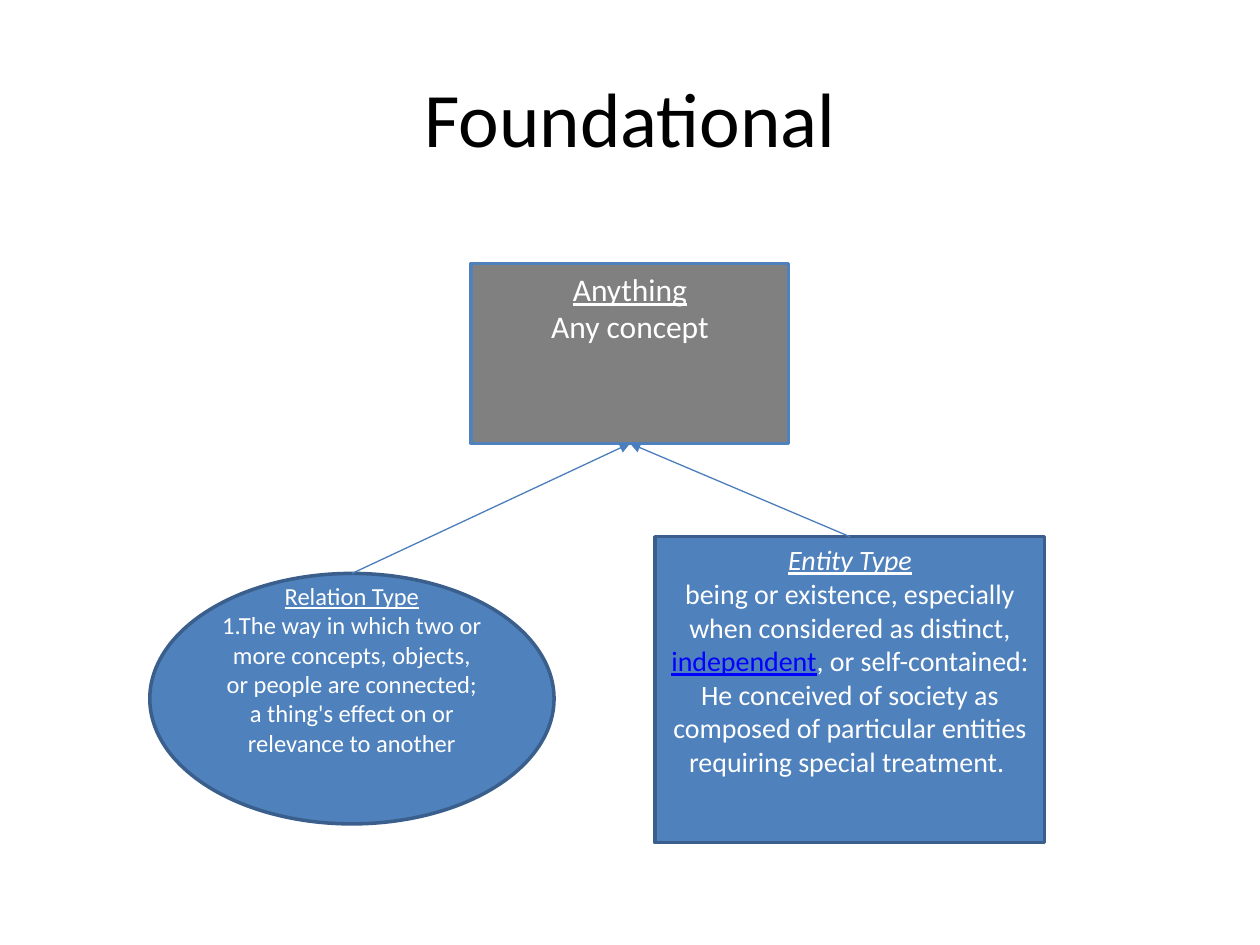
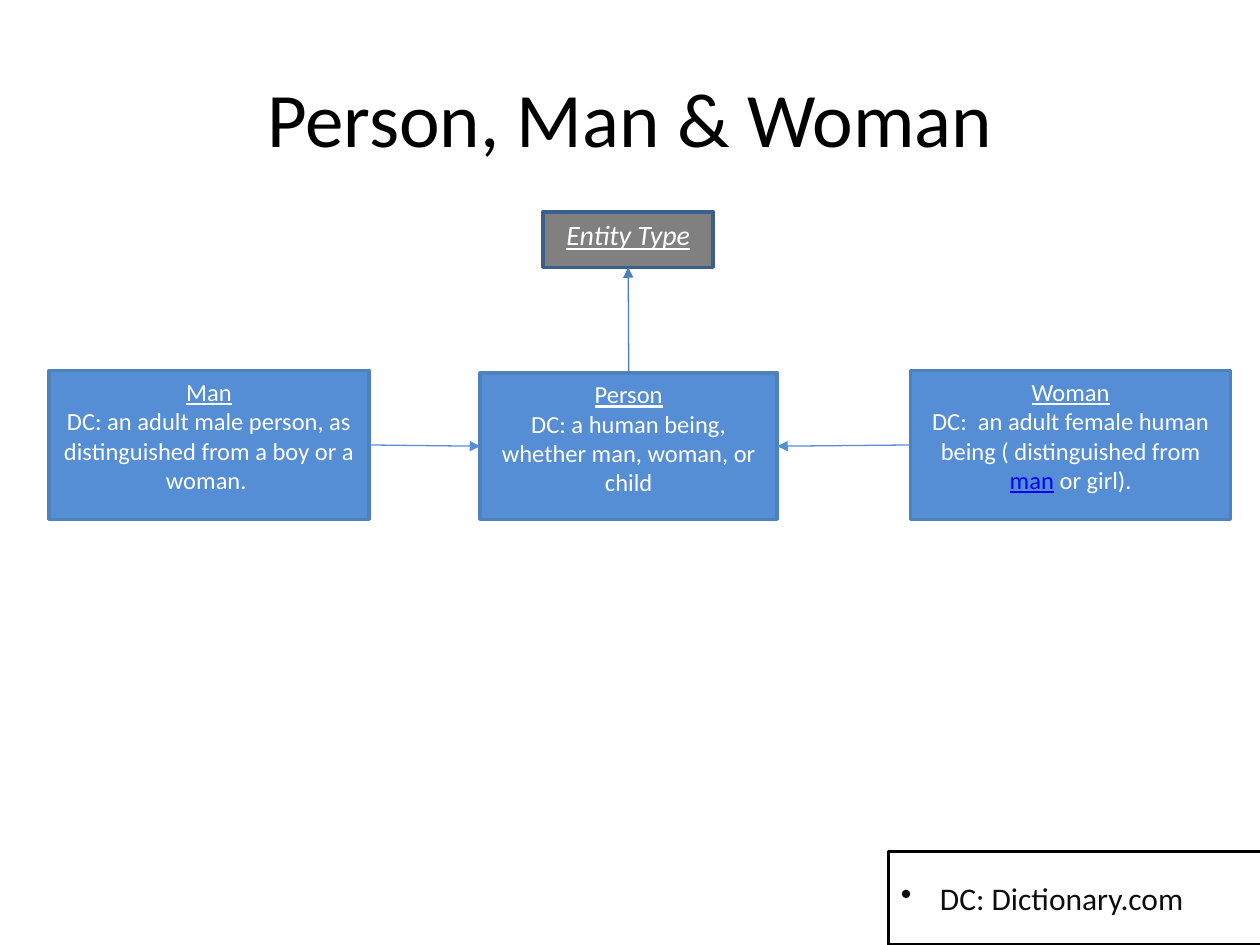
import pptx
import pptx.util
import pptx.dml.color
import pptx.enum.shapes
import pptx.enum.text
import pptx.oxml.ns
import pptx.oxml.xmlchemy

Cm = pptx.util.Cm
Pt = pptx.util.Pt
RGB = pptx.dml.color.RGBColor
Shape = pptx.enum.shapes.MSO_SHAPE
Align = pptx.enum.text.PP_ALIGN
Anchor = pptx.enum.text.MSO_ANCHOR
qn = pptx.oxml.ns.qn
Element = pptx.oxml.xmlchemy.OxmlElement

# Shared look
FONT = "Calibri"
BLACK = RGB(0x00, 0x00, 0x00)
INK = RGB(0x0D, 0x0D, 0x0D)
WHITE = RGB(0xFF, 0xFF, 0xFF)
GREY = RGB(0x80, 0x80, 0x80)
BLUE = RGB(0x4F, 0x81, 0xBD)
SKY = RGB(0x55, 0x8E, 0xD5)
NAVY = RGB(0x3A, 0x5F, 0x8C)
STEEL = RGB(0x4B, 0x7E, 0xBC)
LINK = RGB(0x00, 0x00, 0xFF)


def write(frame, paras, size=14, color=WHITE, align=Align.CENTER,
          anchor=Anchor.TOP, bullet=None):
    """Each paragraph is a list of (text, marks): u underline, i italic, l link."""
    frame.word_wrap = True
    frame.vertical_anchor = anchor
    for n, runs in enumerate(paras):
        para = frame.paragraphs[0] if n == 0 else frame.add_paragraph()
        para.alignment = align
        if bullet:
            props = para._p.get_or_add_pPr()
            props.set("marL", str(int(Cm(0.79))))
            props.set("indent", str(-int(Cm(0.79))))
            mark = Element("a:buChar")
            mark.set("char", bullet)
            props.append(mark)
        for text, marks in runs:
            run = para.add_run()
            run.text = text
            font = run.font
            font.name, font.size = FONT, Pt(size)
            font.underline = "u" in marks
            font.italic = "i" in marks
            font.color.rgb = LINK if "l" in marks else color


def node(slide, box, paras, fill, edge, kind=Shape.RECTANGLE, **style):
    shape = slide.shapes.add_shape(kind, *[Cm(v) for v in box])
    shape.shadow.inherit = False
    shape.fill.solid()
    shape.fill.fore_color.rgb = fill
    shape.line.color.rgb = edge
    shape.line.width = Pt(2)
    write(shape.text_frame, paras, **style)
    return shape


deck = pptx.Presentation()
deck.slide_width, deck.slide_height = Cm(25.4), Cm(19.05)

# Slides with their titles
slides = []
for name in ("Foundational", "Person, Man & Woman"):
    slide = deck.slides.add_slide(deck.slide_layouts[5])
    title = slide.shapes.title
    title.left, title.top = Cm(1.27), Cm(0.76)
    title.width, title.height = Cm(22.86), Cm(3.18)
    write(title.text_frame, [[(name, "")]], size=44, color=BLACK,
          anchor=Anchor.MIDDLE)
    slides.append(slide)
base, people = slides

# Foundational concepts
entity = node(base, (13.21, 10.82, 7.85, 6.17), [
    [("Entity Type", "iu")],
    [("being or existence, especially when considered as distinct, ", ""),
     ("independent", "ul"),
     (", or self-contained: He conceived of society as composed of "
      "particular entities requiring special treatment. ", "")],
], BLUE, NAVY, size=16)
thing = node(base, (9.5, 5.31, 6.4, 3.63), [
    [("Anything", "u")],
    [("Any concept", "")],
], GREY, BLUE, size=18)
relate = node(base, (3.02, 11.56, 8.15, 5.05), [
    [("Relation Type", "u")],
    [("1.The way in which two or more concepts, objects, or people are "
      "connected; a thing's effect on or relevance to another", "")],
], BLUE, NAVY, kind=Shape.OVAL, anchor=Anchor.MIDDLE)
relate.text_frame.margin_bottom = Cm(1.32)

# Person and its kinds
woman = node(people, (18.36, 7.47, 6.45, 3), [
    [("Woman", "u")],
    [("DC:  an adult female human being ( distinguished from ", ""),
     ("man", "ul"), (" or girl).", "")],
], SKY, BLUE)
man = node(people, (0.99, 7.47, 6.45, 3), [
    [("Man", "u")],
    [("DC: an adult male person, as distinguished from a boy or a woman. ", "")],
], SKY, BLUE)
person = node(people, (9.68, 7.52, 5.99, 2.95), [
    [("Person", "u")],
    [("DC: a human being, whether man, woman, or child", "")],
], SKY, BLUE)
parent = node(people, (10.95, 4.27, 3.43, 1.12), [[("Entity Type", "iu")]],
              GREY, NAVY, size=16)

# Source key
node(people, (17.91, 17.17, 7.65, 1.88), [[("DC: Dictionary.com", "")]],
     WHITE, BLACK, size=18, color=INK, align=Align.LEFT,
     anchor=Anchor.MIDDLE, bullet="•")

# Arrows: sides are 0 top, 1 left, 2 bottom, 3 right
for slide, start, out, end, into, color in (
    (base, entity, 0, thing, 2, STEEL),
    (base, relate, 0, thing, 2, STEEL),
    (people, man, 3, person, 1, SKY),
    (people, woman, 1, person, 3, SKY),
    (people, person, 0, parent, 2, STEEL),
):
    arrow = slide.shapes.add_connector(
        pptx.enum.shapes.MSO_CONNECTOR.STRAIGHT, 0, 0, 0, 0)
    arrow.begin_connect(start, out)
    arrow.end_connect(end, into)
    arrow.line.color.rgb = color
    arrow.line.width = Pt(0.75)
    props = arrow._element.spPr
    head = Element("a:tailEnd")
    head.set("type", "triangle")
    props.find(qn("a:ln")).append(head)
    props.append(Element("a:effectLst"))

deck.save("out.pptx")
